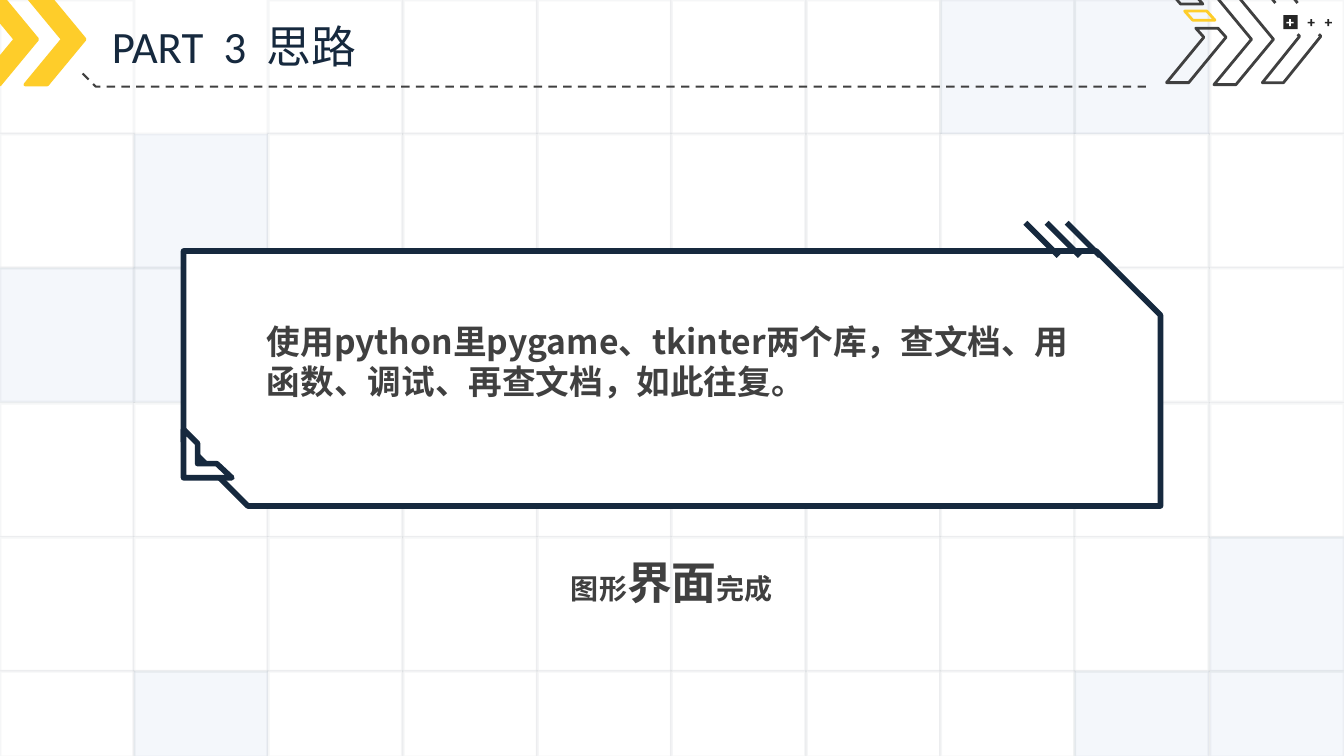
"""Build the PART 3 slide: tinted grid, arrow header, framed note and caption."""
import pptx
import pptx.util
import pptx.dml.color
import pptx.enum.dml
import pptx.enum.shapes
import pptx.enum.text
import pptx.oxml.ns
import lxml.etree

PX = 9144
NAVY, GREY, GOLD, WHITE, TINT, INK = "16293E", "404040", "FECD2A", "FFFFFF", "E0E9F4", "262626"
SANS = "Noto Sans CJK SC"
KIND = pptx.enum.shapes.MSO_SHAPE
ALIGN = pptx.enum.text.PP_ALIGN
ANCHOR = pptx.enum.text.MSO_ANCHOR


def paint(fill, tone, alpha=100):
    fill.solid()
    fill.fore_color.rgb = pptx.dml.color.RGBColor.from_string(tone)
    if alpha < 100:
        node = fill._xPr.find(".//" + pptx.oxml.ns.qn("a:srgbClr"))
        lxml.etree.SubElement(node, pptx.oxml.ns.qn("a:alpha")).set("val", str(alpha * 1000))


def style(shape, tone, edge=None, width=0, clear=100, faint=100):
    shape.shadow.inherit = False
    if tone:
        paint(shape.fill, tone, clear)
    else:
        shape.fill.background()
    if edge:
        paint(shape.line.fill, edge, faint)
        shape.line.width = pptx.util.Pt(width)
    else:
        shape.line.fill.background()


deck = pptx.Presentation()
deck.slide_width, deck.slide_height = 1333 * PX, 750 * PX
slide = deck.slides.add_slide(deck.slide_layouts[5])
shapes = slide.shapes
title = shapes.title

tinted = {(7, 0), (8, 0), (1, 1), (0, 2), (1, 2), (9, 4), (1, 5), (8, 5), (9, 5)}
for row in range(6):
    for col in range(10):
        if (col, row) == (1, 0):
            continue
        left, top = col * 400 // 3, row * 400 // 3
        high = 85 if row == 5 else 133
        cell = shapes.add_shape(KIND.RECTANGLE, left * PX, top * PX, 133 * PX, high * PX)
        if (col, row) in tinted:
            style(cell, TINT, NAVY, 2, clear=34, faint=3)
        else:
            style(cell, WHITE, NAVY, 2, faint=3)

outlines = [
    ([(1159, -10), (1181, -10), (1193, 4), (1171, 4)], True, GREY, 2),
    ([(1175, 11), (1197, 11), (1205, 20), (1183, 20)], True, GOLD, 2),
    ([(1186, 28), (1208, 28), (1216, 37), (1179, 82), (1157, 82), (1194, 37)], True, GREY, 2),
    ([(1265, 3), (1253, -12), (1275, -12), (1287, 3)], False, GREY, 2),
    ([(1308, 34), (1310, 36), (1273, 82), (1252, 82), (1289, 36), (1287, 34)], False, GREY, 2),
    ([(82, 73), (95, 86), (1139, 86)], False, GREY, 1.5),
]
for points, closed, edge, width in outlines:
    pen = shapes.build_freeform(*points[0], scale=PX)
    pen.add_line_segments(points[1:], close=closed)
    stroke = pen.convert_to_shape()
    style(stroke, None, edge, width)
stroke.line.dash_style = pptx.enum.dml.MSO_LINE.DASH

for left, tone, edge, width in [(1204, None, GREY, 2), (-22, GOLD, GOLD, 2.5), (25, GOLD, GOLD, 2.5)]:
    arrow = shapes.add_shape(KIND.CHEVRON, left * PX, -6 * PX, 59 * PX, 90 * PX)
    arrow.adjustments[0] = 0.631
    style(arrow, tone, edge, width)

badge = shapes.add_shape(KIND.RECTANGLE, 1273 * PX, 15 * PX, 14 * PX, 14 * PX)
style(badge, INK)
for left, tone in [(1276, WHITE), (1297, INK), (1314, INK)]:
    plus = shapes.add_shape(KIND.CROSS, left * PX, 19 * PX, 7 * PX, 7 * PX)
    plus.adjustments[0] = 0.382
    style(plus, tone)

frame = shapes.add_shape(KIND.SNIP_2_DIAG_RECTANGLE, 182 * PX, 249 * PX, 969 * PX, 253 * PX)
frame.adjustments[0], frame.adjustments[1] = 0, 0.252
style(frame, WHITE, NAVY, 4)

pen = shapes.build_freeform(182, 426, scale=PX)
pen.add_line_segments([(196, 440), (196, 460), (215, 460), (230, 474), (182, 474)], close=True)
style(pen.convert_to_shape(), WHITE, NAVY, 4)

for left in (1017, 1038, 1058):
    slash = shapes.add_connector(pptx.enum.shapes.MSO_CONNECTOR.STRAIGHT,
                                 left * PX, 221 * PX, (left + 33) * PX, 254 * PX)
    paint(slash.line.fill, NAVY)
    slash.line.width = pptx.util.Pt(4)
    lxml.etree.SubElement(slash._element.spPr, pptx.oxml.ns.qn("a:effectLst"))

shapes._spTree.append(title._element)
caption = shapes.add_textbox(0, 0, PX, PX)
note = shapes.add_textbox(0, 0, PX, PX)
texts = [
    (title, (101, 2, 1046, 75), ANCHOR.MIDDLE, ALIGN.LEFT, 1.2, "Calibri", NAVY, False,
     [("PART  3  思路", 32)]),
    (caption, (113, 529, 1107, 80), ANCHOR.TOP, ALIGN.CENTER, 1.3, SANS, GREY, True,
     [("图形", 20), ("界面", 32), ("完成", 20)]),
    (note, (255, 313, 823, 91), ANCHOR.TOP, ALIGN.LEFT, 1.0, SANS, GREY, True,
     [("使用python里pygame、tkinter两个库，查文档、用函数、调试、再查文档，如此往复。", 24)]),
]
for box, place, anchor, align, space, face, tone, bold, runs in texts:
    box.left, box.top, box.width, box.height = [n * PX for n in place]
    frame = box.text_frame
    frame.word_wrap = True
    frame.auto_size = pptx.enum.text.MSO_AUTO_SIZE.NONE
    frame.vertical_anchor = anchor
    para = frame.paragraphs[0]
    para.alignment = align
    para.line_spacing = space
    for words, size in runs:
        run = para.add_run()
        run.text = words
        run.font.size = pptx.util.Pt(size)
        run.font.bold = bold
        paint(run.font.fill, tone)
        run.font.name = face
        east = lxml.etree.SubElement(run.font._element, pptx.oxml.ns.qn("a:ea"))
        east.set("typeface", SANS)

deck.save("out.pptx")
